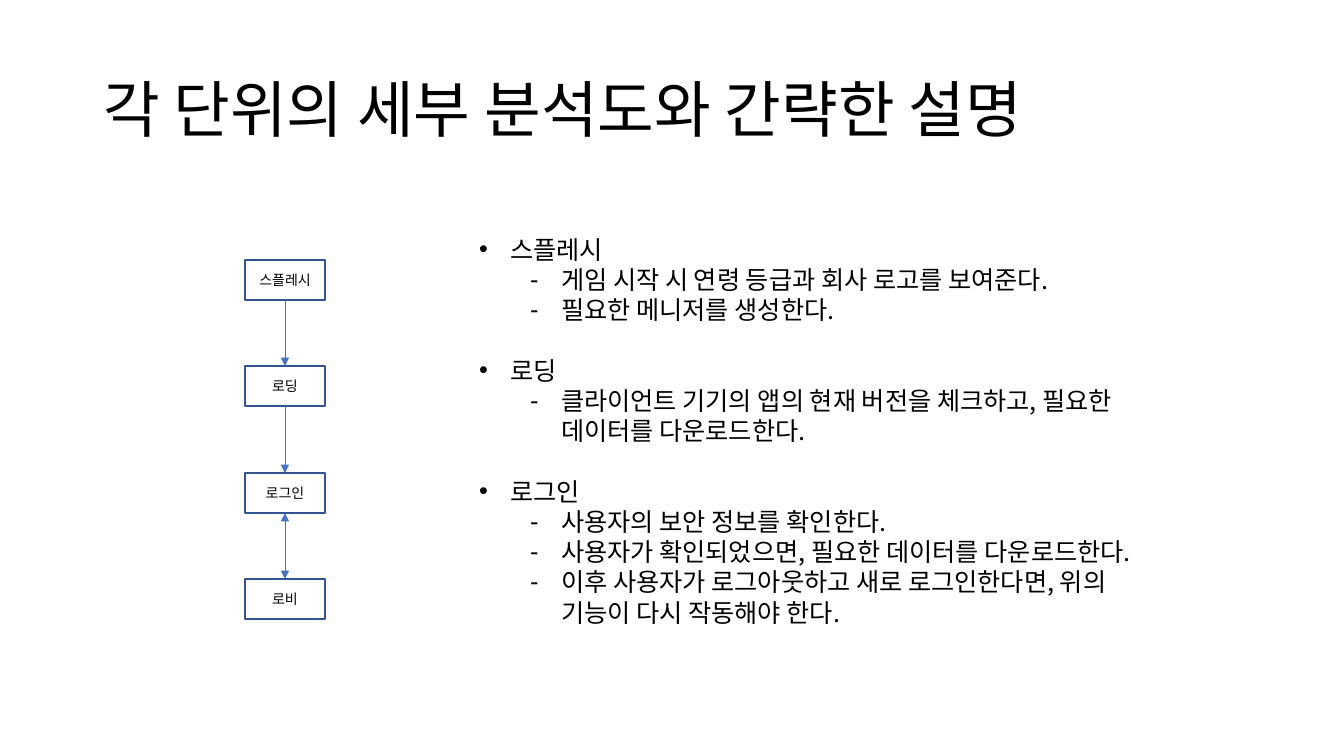
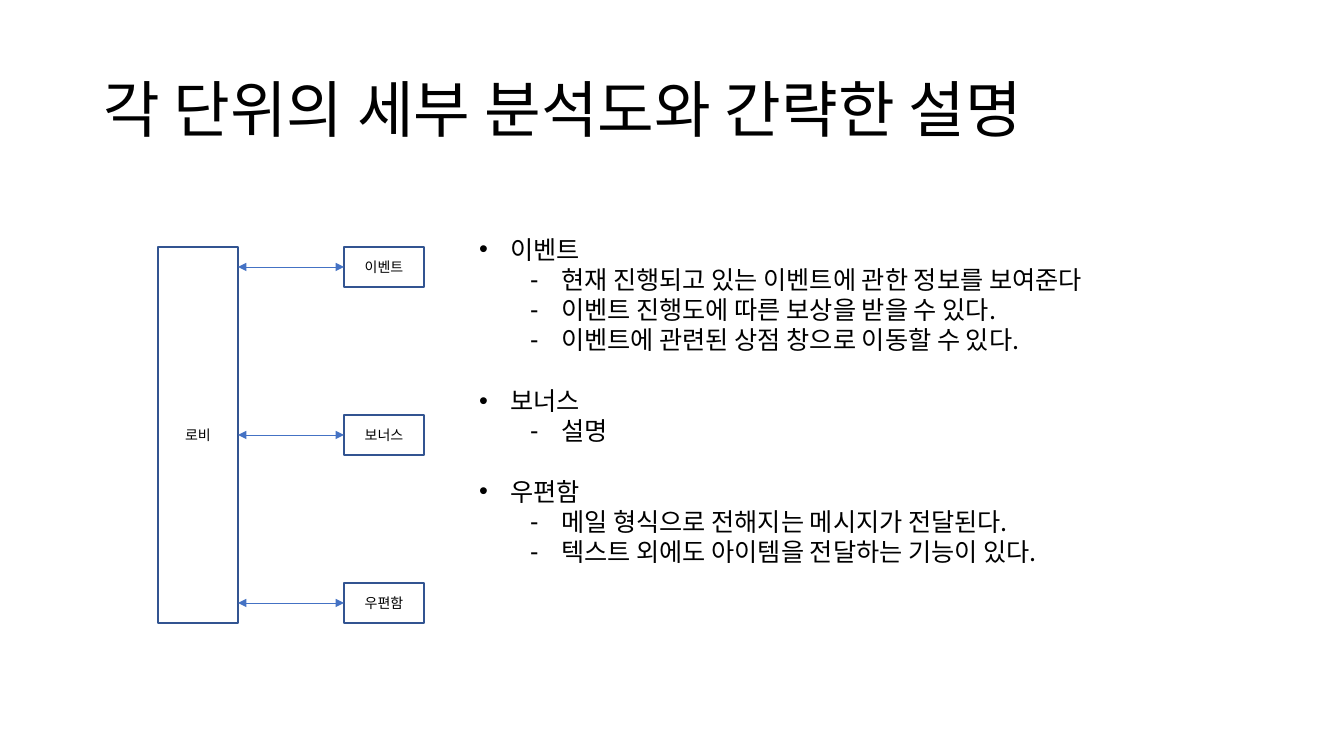
from dataclasses import dataclass
from lxml.etree import SubElement
from pptx import Presentation
from pptx.dml.color import RGBColor
from pptx.enum.shapes import MSO_CONNECTOR, MSO_SHAPE
from pptx.enum.text import MSO_ANCHOR, MSO_AUTO_SIZE, PP_ALIGN
from pptx.oxml.ns import qn
from pptx.util import Pt

SCALE = 914400 / 100.8


@dataclass(frozen=True)
class Theme:
    """Colours, font and type sizes of the deck."""
    ink: str = "000000"
    paper: str = "FFFFFF"
    edge: str = "325491"
    arrow: str = "4472C4"
    font: str = "Noto Sans CJK KR"
    head: float = 44
    body: float = 18
    label: float = 10
    pitch: float = 21.6


THEME = Theme()
TITLE = "각 단위의 세부 분석도와 간략한 설명"
BOX_W, BOX_H = 80, 40
TOP, LEFT, BOTTOM = 0, 1, 2

START_STEPS = ["스플레시", "로딩", "로그인", "로비"]
START_NOTES = {
    "스플레시": ["게임 시작 시 연령 등급과 회사 로고를 보여준다.",
             "필요한 메니저를 생성한다."],
    "로딩": ["클라이언트 기기의 앱의 현재 버전을 체크하고, 필요한 데이터를 다운로드한다."],
    "로그인": ["사용자의 보안 정보를 확인한다.",
            "사용자가 확인되었으면, 필요한 데이터를 다운로드한다.",
            "이후 사용자가 로그아웃하고 새로 로그인한다면, 위의 기능이 다시 작동해야 한다."],
}
LOBBY_NOTES = {
    "이벤트": ["현재 진행되고 있는 이벤트에 관한 정보를 보여준다",
            "이벤트 진행도에 따른 보상을 받을 수 있다.",
            "이벤트에 관련된 상점 창으로 이동할 수 있다."],
    "보너스": ["설명"],
    "우편함": ["메일 형식으로 전해지는 메시지가 전달된다.",
            "텍스트 외에도 아이템을 전달하는 기능이 있다."],
}


def px(size):
    """Turn pixels into EMU."""
    return round(size * SCALE)


def spread(first, last, count):
    """Give evenly spaced positions from first to last."""
    return [round(first + (last - first) * i / (count - 1)) for i in range(count)]


def apply(target, values):
    """Set attributes from a dict of format values."""
    for name, value in values.items():
        setattr(target, name, value)


def place(shape, left, top, width, height):
    """Move and size a shape in pixels."""
    apply(shape, {"left": px(left), "top": px(top),
                  "width": px(width), "height": px(height)})


def write(para, text, size, **values):
    """Add one styled run and format its paragraph."""
    apply(para, values)
    run = para.add_run()
    run.text = text
    apply(run.font, {"size": Pt(size), "name": THEME.font})
    run.font.color.rgb = RGBColor.from_string(THEME.ink)
    SubElement(run.font._element, qn("a:ea"), typeface=THEME.font)


def bullet(para, char, indent):
    """Give a paragraph a hanging bullet."""
    props = para._p.get_or_add_pPr()
    props.set("marL", str(px(indent)))
    props.set("indent", str(px(-31)))
    SubElement(props, qn("a:buFont"), typeface="Arial")
    SubElement(props, qn("a:buChar"), char=char)


def add_notes(shape, notes):
    """Fill the body with headed groups of points."""
    frame = shape.text_frame
    apply(frame, {"word_wrap": True, "auto_size": MSO_AUTO_SIZE.SHAPE_TO_FIT_TEXT,
                  "margin_right": px(28)})
    rows = [(text, level, level == 0 and group > 0)
            for group, (head, points) in enumerate(notes.items())
            for text, level in [(head, 0)] + [(point, 1) for point in points]]
    for i, (text, level, gap) in enumerate(rows):
        para = frame.add_paragraph() if i else frame.paragraphs[0]
        write(para, text, THEME.body, level=level, line_spacing=Pt(THEME.pitch),
              space_before=Pt(THEME.pitch if gap else 0), space_after=Pt(0),
              alignment=PP_ALIGN.LEFT)
        bullet(para, "-" if level else "•", 82 if level else 31)


def add_page(deck, notes, height):
    """Add a slide with its title and notes."""
    slide = deck.slides.add_slide(deck.slide_layouts[1])
    title, body = slide.shapes.title, slide.placeholders[1]
    place(title, 93, 40, 1159, 146)
    apply(title.text_frame, {"vertical_anchor": MSO_ANCHOR.MIDDLE, "word_wrap": True,
                             "auto_size": MSO_AUTO_SIZE.NONE})
    write(title.text_frame.paragraphs[0], TITLE, THEME.head,
          alignment=PP_ALIGN.LEFT, line_spacing=0.9)
    place(body, 469, 229, 731, height)
    add_notes(body, notes)
    return slide


def add_box(slide, text, left, top, height=BOX_H):
    """Add a labelled box."""
    box = slide.shapes.add_shape(MSO_SHAPE.RECTANGLE, px(left), px(top),
                                 px(BOX_W), px(height))
    box.shadow.inherit = False
    box.fill.solid()
    box.fill.fore_color.rgb = RGBColor.from_string(THEME.paper)
    box.line.color.rgb = RGBColor.from_string(THEME.edge)
    box.line.width = Pt(1)
    apply(box.text_frame, {"vertical_anchor": MSO_ANCHOR.MIDDLE, "word_wrap": True,
                           "margin_left": 0, "margin_right": 0})
    write(box.text_frame.paragraphs[0], text, THEME.label, alignment=PP_ALIGN.CENTER)
    return box


def add_link(slide, left, top, box, site, both=True):
    """Draw an arrow from a point to a side of a box."""
    link = slide.shapes.add_connector(MSO_CONNECTOR.STRAIGHT, px(left), px(top),
                                      px(left), px(top))
    link.end_connect(box, site)
    link.line.color.rgb = RGBColor.from_string(THEME.arrow)
    link.line.width = Pt(0.5)
    line = link.line._get_or_add_ln()
    for end in ["a:headEnd", "a:tailEnd"] if both else ["a:tailEnd"]:
        SubElement(line, qn(end), type="triangle")
    SubElement(link._element.spPr, qn("a:effectLst"))
    return link


def add_start(deck):
    """Build the slide on the steps up to the lobby."""
    slide = add_page(deck, START_NOTES, 407)
    left = 245
    tops = spread(260, 579, len(START_STEPS))
    boxes = [add_box(slide, text, left, top) for text, top in zip(START_STEPS, tops)]
    for top, prev, box in zip(tops, boxes, boxes[1:]):
        link = add_link(slide, left + BOX_W / 2, top + BOX_H, box, TOP,
                        both=box is boxes[-1])
        link.begin_connect(prev, BOTTOM)


def add_lobby(deck):
    """Build the slide on the parts of the lobby."""
    slide = add_page(deck, LOBBY_NOTES, 346)
    left = 158
    tops = spread(247, 583, len(LOBBY_NOTES))
    add_box(slide, "로비", left, tops[0], tops[-1] + BOX_H - tops[0])
    for text, top in zip(LOBBY_NOTES, tops):
        box = add_box(slide, text, 344, top)
        add_link(slide, left + BOX_W, top + BOX_H / 2, box, LEFT)


def main():
    """Build and save the deck."""
    deck = Presentation()
    apply(deck, {"slide_width": px(1344), "slide_height": px(756)})
    add_start(deck)
    add_lobby(deck)
    deck.save("out.pptx")


main()
